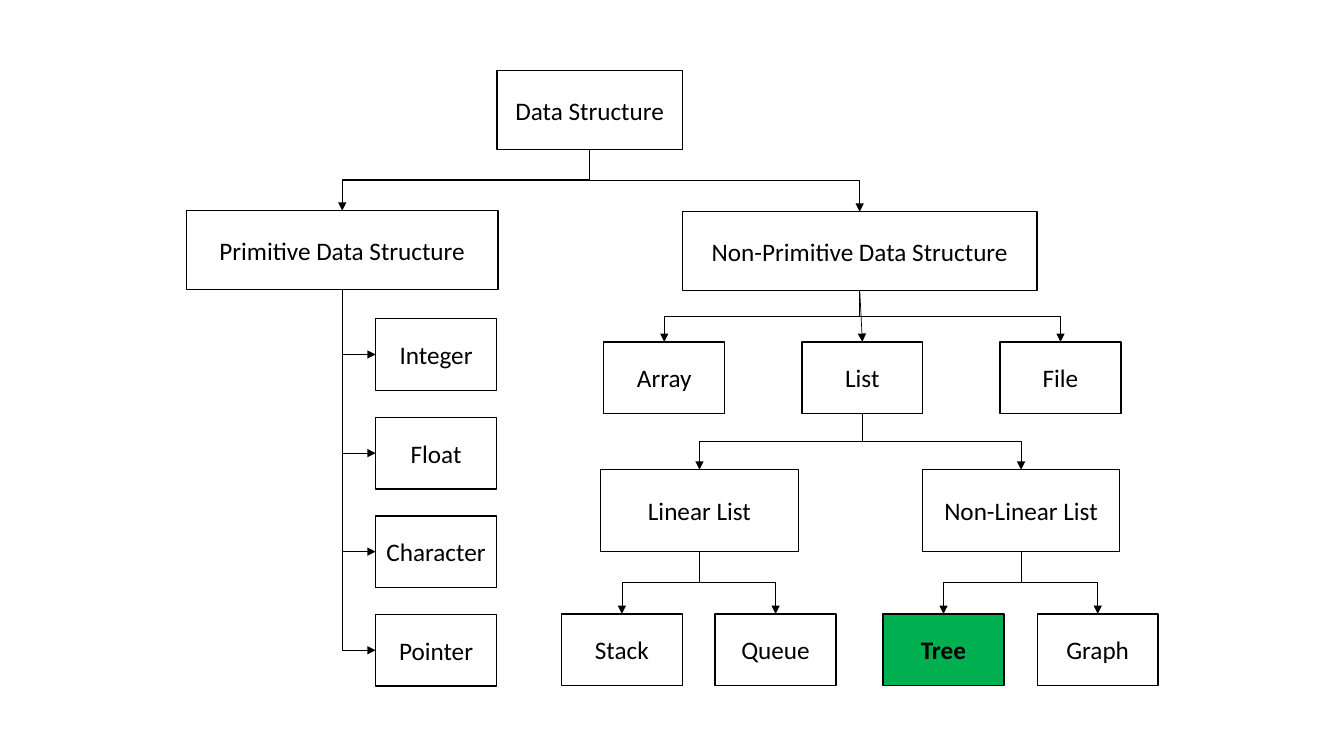
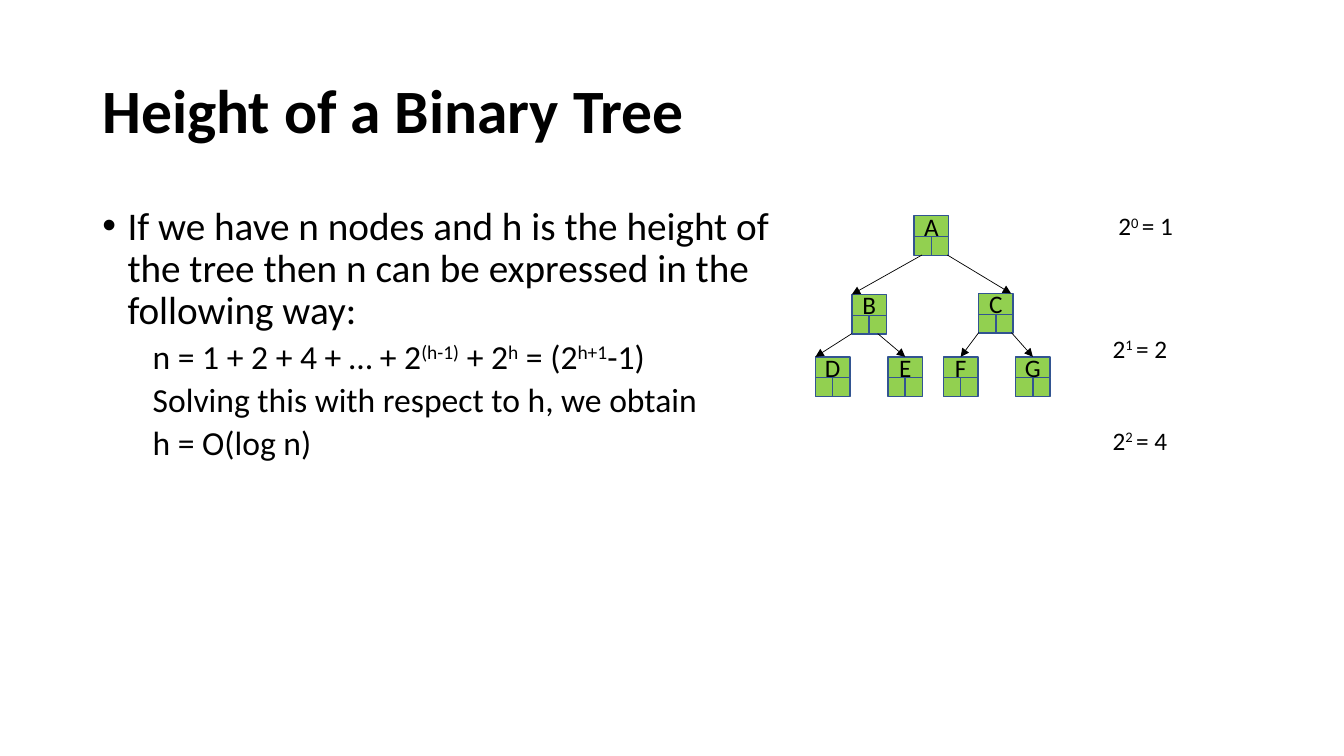
import pptx
import pptx.util
import pptx.dml.color
import pptx.enum.shapes
import pptx.enum.text
import pptx.oxml.ns
import lxml.etree

Pt = pptx.util.Pt
qn = pptx.oxml.ns.qn
SHAPES = pptx.enum.shapes.MSO_SHAPE
CONNECTORS = pptx.enum.shapes.MSO_CONNECTOR
ALIGN = pptx.enum.text.PP_ALIGN
ANCHOR = pptx.enum.text.MSO_ANCHOR
FONT = "Calibri"
BLACK, WHITE, HIGHLIGHT = "000000", "FFFFFF", "00B050"
NODE_FILL, NODE_LINE = "92D050", "325491"


def rgb(value):
    """Turn a hex string into a colour."""
    return pptx.dml.color.RGBColor.from_string(value)


def add_text(p, *parts, size=18, bold=False, align=ALIGN.LEFT, spacing=None,
             before=0, margin=0, indent=0, bullet=None):
    """Write runs into a paragraph; every second part is superscript."""
    p.alignment = align
    p.space_before = Pt(before)
    if spacing:
        p.line_spacing = spacing
    pPr = p._p.get_or_add_pPr()
    pPr.set("marL", str(Pt(margin)))
    pPr.set("indent", str(Pt(indent)))
    if bullet:
        lxml.etree.SubElement(pPr, qn("a:buFont")).set("typeface", "Arial")
        lxml.etree.SubElement(pPr, qn("a:buChar")).set("char", bullet)
    for i, part in enumerate(parts):
        r = p.add_run()
        r.text = part
        r.font.name, r.font.size, r.font.bold = FONT, Pt(size), bold
        r.font.color.rgb = rgb(BLACK)
        if i % 2:
            r._r.get_or_add_rPr().set("baseline", "30000")


def add_text_box(s, x, y, w, h, paragraphs, anchor=ANCHOR.TOP):
    """Place a wrapped text box of (parts, format) paragraphs."""
    tf = s.shapes.add_textbox(Pt(x), Pt(y), Pt(w), Pt(h)).text_frame
    tf.word_wrap = True
    tf.vertical_anchor = anchor
    for i, (parts, fmt) in enumerate(paragraphs):
        add_text(tf.add_paragraph() if i else tf.paragraphs[0], *parts, **fmt)


def add_box(s, x, y, w, h, text="", fill=WHITE, line=BLACK, bold=False):
    """Place an outlined rectangle with centred text."""
    sp = s.shapes.add_shape(SHAPES.RECTANGLE, Pt(x), Pt(y), Pt(w), Pt(h))
    sp.shadow.inherit = False
    sp.fill.solid()
    sp.fill.fore_color.rgb = rgb(fill)
    sp.line.color.rgb = rgb(line)
    sp.line.width = Pt(1)
    tf = sp.text_frame
    tf.word_wrap = True
    tf.vertical_anchor = ANCHOR.MIDDLE
    tf.margin_left = tf.margin_right = tf.margin_top = tf.margin_bottom = 0
    if text:
        add_text(tf.paragraphs[0], text, bold=bold, align=ALIGN.CENTER)
    return sp


def add_line(s, x1, y1, x2, y2, kind=CONNECTORS.STRAIGHT, width=0.5, arrow=True):
    """Draw a connector, with an arrowhead at its end by default."""
    c = s.shapes.add_connector(kind, Pt(x1), Pt(y1), Pt(x2), Pt(y2))
    c.line.color.rgb = rgb(BLACK)
    c.line.width = Pt(width)
    if arrow:
        ln = c.line._get_or_add_ln()
        lxml.etree.SubElement(ln, qn("a:tailEnd")).set("type", "triangle")
    lxml.etree.SubElement(c._element.spPr, qn("a:effectLst"))
    return c


def link_down(s, parent, child, width=0.5):
    """Join a parent's bottom centre to a child's top centre."""
    x1, y1 = (parent.left + parent.width / 2) / Pt(1), (parent.top + parent.height) / Pt(1)
    x2, y2 = (child.left + child.width / 2) / Pt(1), child.top / Pt(1)
    dx, dy = x2 - x1, y2 - y1
    if abs(dx) < 3:
        add_line(s, x1, y1, x2, y2, width=width)
        return
    cx, cy = (x1 + x2) / 2, (y1 + y2) / 2
    c = add_line(s, cx - dy / 2, cy + dx / 2, cx + dy / 2, cy - dx / 2,
                 CONNECTORS.ELBOW, width)
    c._element.spPr.find(qn("a:xfrm")).set("rot", "5400000")


def add_primitive_branch(s, x, y, w, h):
    """Place the primitive heading with its types hung from a trunk."""
    head_h, leaf_w, leaf_h, step = 56.2, 86.4, 51.1, 70.4
    head = add_box(s, x, y, w, head_h, "Primitive Data Structure")
    trunk, leaf_x = x + w / 2, x + w - leaf_w - 1
    first = y + h - leaf_h - 3 * step
    for i, name in enumerate(["Integer", "Float", "Character", "Pointer"]):
        top = first + i * step
        add_box(s, leaf_x, top, leaf_w, leaf_h, name)
        add_line(s, trunk, top + leaf_h / 2, leaf_x, top + leaf_h / 2)
    add_line(s, trunk, y + head_h, trunk, y + h - leaf_h / 2, arrow=False)
    return head


def add_non_primitive_branch(s, x, y):
    """Place the non-primitive heading and the levels below it."""
    leaf_w, leaf_h = 86.4, 51.1
    head = add_box(s, x + 86.4, y, 253.4, 56.2, "Non-Primitive Data Structure")
    kinds = [add_box(s, x + 30.3 + 141.5 * i, y + 93, leaf_w, leaf_h, name)
             for i, name in enumerate(["Array", "List", "File"])]
    for kind in kinds:
        link_down(s, head, kind)
    lists = [("Linear List", 28.1, [("Stack", 0), ("Queue", 109.8)]),
             ("Non-Linear List", 257.8, [("Tree", 229.7), ("Graph", 339.9)])]
    for name, dx, leaves in lists:
        group = add_box(s, x + dx, y + 184.3, 141.1, 58.3, name)
        link_down(s, kinds[1], group)
        for leaf, leaf_dx in leaves:
            chosen = leaf == "Tree"
            link_down(s, group, add_box(
                s, x + leaf_dx, y + 287.3, leaf_w, leaf_h, leaf,
                fill=HIGHLIGHT if chosen else WHITE, bold=chosen))
    return head


def add_node(s, x, y, name):
    """Place a tree node: a name cell over two pointer cells."""
    for dx in (0, 12.3):
        add_box(s, x + dx, y + 14.6, 12.3, 13.8, fill=NODE_FILL, line=NODE_LINE)
    add_box(s, x, y, 24.6, 14.9, name, fill=NODE_FILL, line=NODE_LINE)


def add_binary_tree(s, x, y):
    """Place the nodes and the arrows between them."""
    nodes = {"A": (70.5, 0), "B": (26, 56.2), "C": (116.6, 55.5),
             "D": (0, 100.8), "E": (51.8, 100.8),
             "F": (91.4, 100.8), "G": (143, 100.8)}
    for name, (dx, dy) in nodes.items():
        add_node(s, x + dx, y + dy, name)
    edges = [("AB", 0.23, 0), ("AC", 0.96, 0.94), ("BD", 0, 0),
             ("BE", 0.75, 0.5), ("CF", 0, 0.5), ("CG", 0.95, 0.5)]
    for (parent, child), start, end in edges:
        (px, py), (cx, cy) = nodes[parent], nodes[child]
        add_line(s, x + px + 24.6 * start, y + py + 28, x + cx + 24.6 * end, y + cy)


def build_structure_slide(prs):
    """Build the chart of data structures."""
    s = prs.slides.add_slide(prs.slide_layouts[6])
    root = add_box(s, 355, 50.4, 132.5, 56.2, "Data Structure")
    for head in (add_primitive_branch(s, 133.2, 150.5, 222.5, 339.5),
                 add_non_primitive_branch(s, 401, 151.2)):
        link_down(s, root, head, width=1)


def build_height_slide(prs):
    """Build the slide on the height of a binary tree."""
    s = prs.slides.add_slide(prs.slide_layouts[6])
    add_text_box(s, 66, 28.8, 828, 104.4,
                 [(["Height of a Binary Tree"], dict(size=44, bold=True, spacing=0.9))],
                 ANCHOR.MIDDLE)
    lead = dict(size=28, spacing=0.9, before=10, margin=18, indent=-18, bullet="\u2022")
    sub = dict(size=24, spacing=0.9, before=5, margin=36)
    add_text_box(s, 66, 143.8, 497.5, 342.7, [
        (["If we have n nodes and h is the height of the tree then n can be "
          "expressed in the following way: "], lead),
        (["n = 1 + 2 + 4 + \u2026 + 2", "(h-1)", " + 2", "h", " = (2", "h+1", "-1)"], sub),
        (["Solving this with respect to h, we obtain"], sub),
        (["h = O(log n)"], sub)])
    add_binary_tree(s, 582.5, 154.1)
    add_text_box(s, 787.7, 146.9, 146.9, 145.4, [
        ([" 2", "0 ", "= 1"], {}),
        (["2", "1 ", "= 2"], dict(before=65.9)),
        (["2", "2 ", "= 4"], dict(before=43.9))])


prs = pptx.Presentation()
prs.slide_width, prs.slide_height = Pt(960), Pt(540)
build_structure_slide(prs)
build_height_slide(prs)
prs.save("out.pptx")
